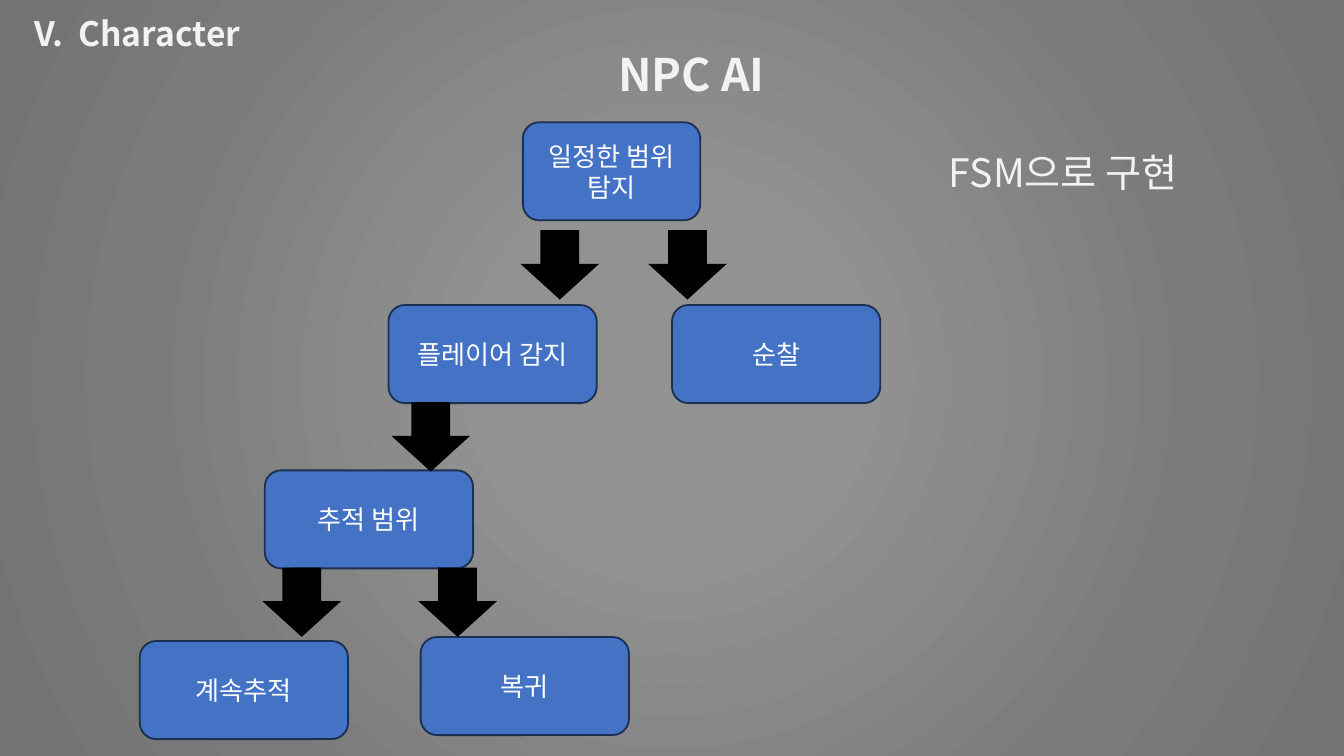
from dataclasses import dataclass

from lxml.etree import SubElement
from pptx import Presentation
from pptx.dml.color import RGBColor
from pptx.enum.shapes import MSO_SHAPE
from pptx.enum.text import MSO_ANCHOR, PP_ALIGN
from pptx.oxml.ns import qn
from pptx.slide import Slide
from pptx.util import Inches, Pt

# Lengths are counted in grid cells: 100 columns across, 56.25 rows down (16:9)
CELL = 0.1
COLUMNS, ROWS = 100, 56.25
FONT = "Noto Sans CJK KR"
COLORS = {"node": "4472C4", "outline": "1C3052", "arrow": "000000",
          "label": "FFFFFF", "heading": "F2F2F2"}
BACKGROUND_STOPS = {0: "929292", 23: "929292", 69: "7B7B7B",
                    97: "737373", 100: "737373"}
NODE_HEIGHT = 7.3
ARROW_WIDTH, ARROW_HEIGHT = 5.5, 5


@dataclass(frozen=True)
class Node:
    text: str
    column: float
    row: float
    width: float = 15.5
    arrow_offsets: tuple[float, ...] = ()  # columns from the node's left edge
    arrow_gap: float = 0  # rows below the node


@dataclass(frozen=True)
class Heading:
    text: str
    column: float
    row: float
    width: float
    height: float
    size: int
    bold: bool = False
    margins: tuple[float, float] = (0.7, 0.4)  # columns, rows
    tab: float = 0  # columns from the text edge


NODES = [
    Node("일정한 범위 탐지", 38.9, 9.1, 13.2, (0, 9.5), 0.8),
    Node("플레이어 감지", 28.9, 22.7, arrow_offsets=(0.4,)),
    Node("순찰", 50, 22.7),
    Node("추적 범위", 19.7, 35, arrow_offsets=(0, 11.6)),
    Node("계속추적", 10.4, 47.7),
    Node("복귀", 31.3, 47.4),
]
HEADINGS = [
    Heading("V.\tCharacter", 1.6, 0, 32.8, 5, 18, True, (1, 1), 3.25),
    Heading("NPC AI", 45.3, 3.1, 13, 4.8, 24, True),
    Heading("FSM으로 구현", 69.9, 10.6, 20.1, 4.3, 21),
]


def cells(count: float) -> int:
    return Inches(count * CELL)


def set_text(shape, text: str, size: int, color: str, bold: bool = False,
             margins: tuple[float, float] = (0.7, 0.4), **layout) -> None:
    frame = shape.text_frame
    across, down = map(cells, margins)
    frame_format = {"word_wrap": True, "margin_left": across, "margin_right": across,
                    "margin_top": down, "margin_bottom": down, **layout}
    for name, value in frame_format.items():
        setattr(frame, name, value)
    run = frame.paragraphs[0].add_run()
    run.text = text
    for name, value in {"name": FONT, "size": Pt(size), "bold": bold}.items():
        setattr(run.font, name, value)
    run.font.color.rgb = RGBColor.from_string(COLORS[color])
    SubElement(run.font._element, qn("a:ea")).set("typeface", FONT)


def add_block(slide: Slide, kind: MSO_SHAPE, column: float, row: float,
              width: float, height: float, fill: str, line: str):
    shape = slide.shapes.add_shape(kind, *map(cells, (column, row, width, height)))
    shape.shadow.inherit = False
    shape.fill.solid()
    shape.fill.fore_color.rgb = RGBColor.from_string(COLORS[fill])
    shape.line.color.rgb = RGBColor.from_string(COLORS[line])
    shape.line.width = Pt(1)
    # Sharp outline corners
    SubElement(shape.element.spPr.find(qn("a:ln")), qn("a:miter"), lim="800000")
    return shape


def add_node(slide: Slide, node: Node) -> None:
    shape = add_block(slide, MSO_SHAPE.ROUNDED_RECTANGLE, node.column, node.row,
                      node.width, NODE_HEIGHT, "node", "outline")
    set_text(shape, node.text, 14, "label", vertical_anchor=MSO_ANCHOR.MIDDLE)
    shape.text_frame.paragraphs[0].alignment = PP_ALIGN.CENTER


def add_arrows(slide: Slide, node: Node) -> None:
    row = node.row + NODE_HEIGHT + node.arrow_gap
    for offset in node.arrow_offsets:
        add_block(slide, MSO_SHAPE.DOWN_ARROW, node.column + offset, row,
                  ARROW_WIDTH, ARROW_HEIGHT, "arrow", "arrow")


def add_heading(slide: Slide, heading: Heading) -> None:
    box = slide.shapes.add_textbox(*map(cells, (
        heading.column, heading.row, heading.width, heading.height)))
    if heading.tab:
        properties = box.text_frame.paragraphs[0]._p.get_or_add_pPr()
        stops = SubElement(properties, qn("a:tabLst"))
        SubElement(stops, qn("a:tab"), pos=str(cells(heading.tab)), algn="l")
    set_text(box, heading.text, heading.size, "heading", heading.bold, heading.margins)


def set_background(slide: Slide) -> None:
    slide.background.fill.solid()
    properties = slide.element.find(".//" + qn("p:bgPr"))
    properties.remove(properties[0])
    gradient = SubElement(properties, qn("a:gradFill"), rotWithShape="1")
    properties.insert(0, gradient)
    stops = SubElement(gradient, qn("a:gsLst"))
    for percent, color in BACKGROUND_STOPS.items():
        stop = SubElement(stops, qn("a:gs"), pos=str(percent * 1000))
        SubElement(stop, qn("a:srgbClr"), val=color)
    radial = SubElement(gradient, qn("a:path"), path="circle")
    SubElement(radial, qn("a:fillToRect"), l="50000", t="50000", r="50000", b="50000")


def main() -> None:
    presentation = Presentation()
    presentation.slide_width = cells(COLUMNS)
    presentation.slide_height = cells(ROWS)
    slide = presentation.slides.add_slide(presentation.slide_layouts[6])
    set_background(slide)
    # State boxes first, then the arrows over them
    for node in NODES:
        add_node(slide, node)
    for node in NODES:
        add_arrows(slide, node)
    # Titles and side note
    for heading in HEADINGS:
        add_heading(slide, heading)
    presentation.save("out.pptx")


if __name__ == "__main__":
    main()
